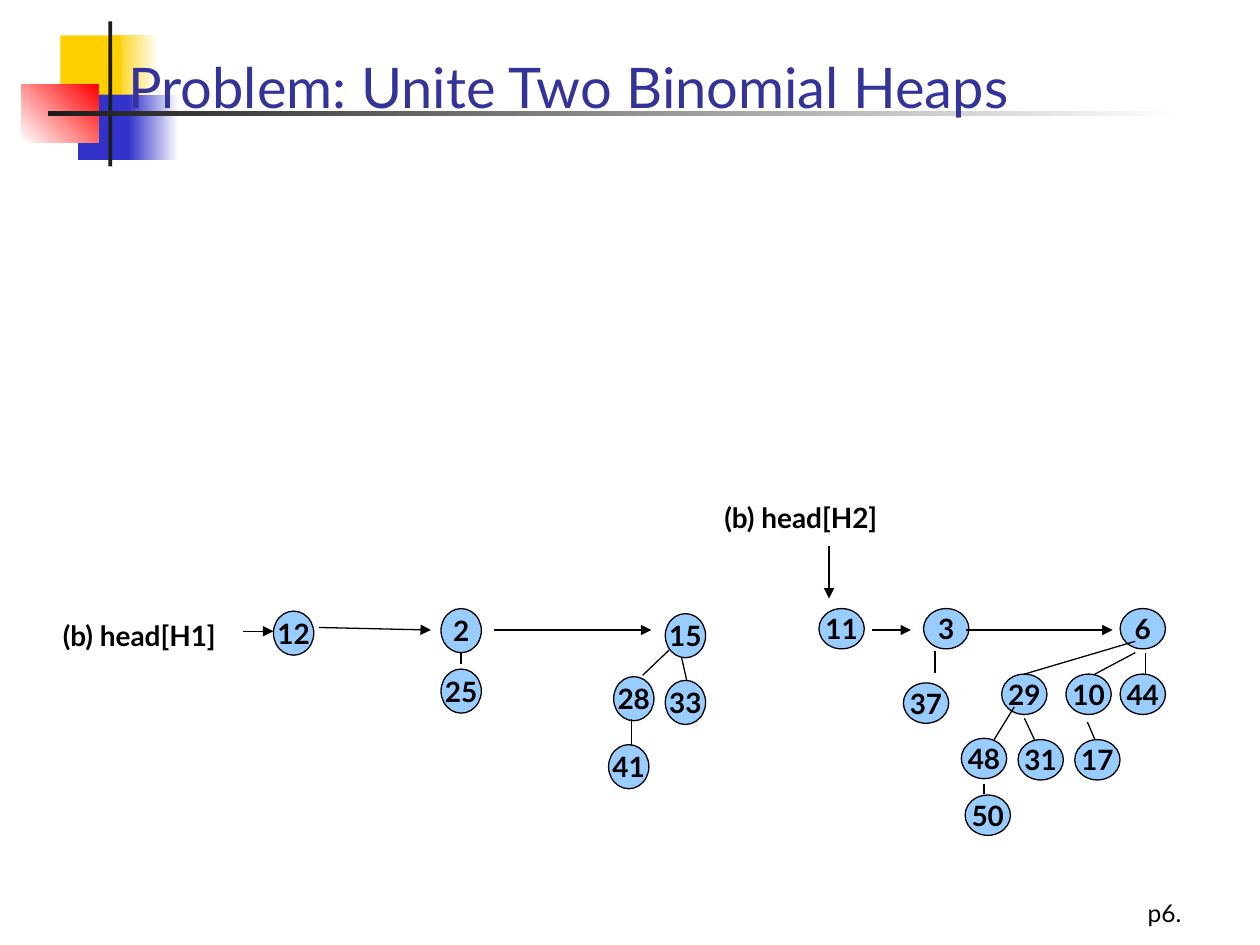
from pptx import Presentation
from pptx.dml.color import RGBColor
from pptx.enum.shapes import MSO_CONNECTOR, MSO_SHAPE
from pptx.enum.text import MSO_ANCHOR, PP_ALIGN
from pptx.oxml import parse_xml
from pptx.oxml.ns import nsdecls
from pptx.util import Inches, Pt

RECT, OVAL, LINE = MSO_SHAPE.RECTANGLE, MSO_SHAPE.OVAL, MSO_CONNECTOR.STRAIGHT
TOP, MIDDLE, BOTTOM = MSO_ANCHOR.TOP, MSO_ANCHOR.MIDDLE, MSO_ANCHOR.BOTTOM
LEFT, CENTER = PP_ALIGN.LEFT, PP_ALIGN.CENTER

BLACK = RGBColor(0x00, 0x00, 0x00)
WHITE = RGBColor(0xFF, 0xFF, 0xFF)
INK = RGBColor(0x1C, 0x1C, 0x1C)
GOLD = RGBColor(0xFF, 0xCF, 0x01)
BLUE = RGBColor(0x33, 0x33, 0xCC)
RED = RGBColor(0xFF, 0x00, 0x00)
NAVY = RGBColor(0x33, 0x33, 0x99)
SKY = RGBColor(0x99, 0xCC, 0xFF)

PLAIN = {"name": "Lato", "size": Pt(14), "bold": False}
BOLD = {"name": "Lato", "size": Pt(16), "bold": True}
TITLE = {"name": "Lato", "size": Pt(32), "bold": False}

BLOCKS = [
    (0.73, 0.11, 0.36, 0.52, (GOLD, WHITE), 0),
    (0.31, 0.11, 0.48, 0.52, (GOLD,), 0),
    (0.45, 0.58, 0.46, 0.52, (BLUE,), 0),
    (0.85, 0.58, 0.4, 0.52, (BLUE, WHITE), 0),
    (0, 0.5, 0.61, 0.46, (WHITE, RED), 45),
    (0.69, 0, 0.03, 1.15, (INK,), 0),
    (0.21, 0.71, 9, 0.04, (INK, WHITE), 0),
]

HEAP1 = {
    "label": ("(b) head[H1]", 0, 0.03),
    "size": (0.32, 0.35),
    "nodes": [
        ("12", 1.77, 0.02), ("2", 3.1, 0), ("15", 4.88, 0.04), ("25", 3.1, 0.48),
        ("28", 4.47, 0.54), ("33", 4.88, 0.57), ("41", 4.43, 1.08),
    ],
    "arrows": [(1.53, 0.18, 1.77, 0.18), (2.13, 0.15, 3.02, 0.17), (3.52, 0.17, 4.77, 0.17)],
    "edges": [
        (3.26, 0.35, 3.26, 0.44), (5.01, 0.39, 5.05, 0.57),
        (4.91, 0.33, 4.7, 0.53), (4.61, 0.88, 4.61, 1.08),
    ],
}

HEAP2 = {
    "label": ("(b) head[H2]", 0, 0),
    "size": (0.36, 0.32),
    "nodes": [
        ("11", 0.85, 0.91), ("3", 1.68, 0.91), ("6", 3.24, 0.91), ("37", 1.52, 1.5),
        ("29", 2.3, 1.43), ("10", 2.81, 1.43), ("44", 3.24, 1.43), ("48", 1.98, 1.94),
        ("31", 2.43, 1.95), ("17", 2.88, 1.95), ("50", 2.01, 2.39),
    ],
    "arrows": [(0.93, 0.41, 0.93, 0.83), (1.27, 1.08, 1.58, 1.08), (2.02, 1.08, 3.18, 1.08)],
    "edges": [
        (1.77, 1.25, 1.77, 1.42), (3.36, 1.17, 2.48, 1.43), (3.36, 1.26, 3.04, 1.43),
        (3.44, 1.26, 3.44, 1.43), (2.4, 1.69, 2.24, 1.95), (2.48, 1.78, 2.56, 1.95),
        (2.16, 2.3, 2.16, 2.38), (2.98, 1.81, 3.04, 1.95),
    ],
}


def write(shape, text, font, color, anchor=TOP, align=LEFT, wrap=True):
    """Put one formatted line of text in a shape."""
    frame = shape.text_frame
    frame.word_wrap = wrap
    frame.vertical_anchor = anchor
    para = frame.paragraphs[0]
    para.alignment = align
    run = para.add_run()
    run.text = text
    for key, value in font.items():
        setattr(run.font, key, value)
    run.font.color.rgb = color


def label(slide, box, text, font, color=BLACK, anchor=TOP):
    """Add a text box that fills the given box."""
    shape = slide.shapes.add_textbox(*map(Inches, box))
    write(shape, text, font, color, anchor)


def link(slide, ends, arrow):
    """Draw a thin black line, with an arrowhead if asked."""
    line = slide.shapes.add_connector(LINE, *map(Inches, ends))
    line.line.color.rgb = BLACK
    line.line.width = Pt(0.75)
    props = line._element.spPr
    if arrow:
        head = parse_xml(f'<a:tailEnd {nsdecls("a")} type="triangle"/>')
        props.get_or_add_ln().append(head)
    props.append(parse_xml(f'<a:effectLst {nsdecls("a")}/>'))


def node(slide, box, text):
    """Draw one numbered heap node."""
    shape = slide.shapes.add_shape(OVAL, *map(Inches, box))
    shape.shadow.inherit = False
    shape.fill.solid()
    shape.fill.fore_color.rgb = SKY
    shape.line.color.rgb = BLACK
    shape.line.width = Pt(0.75)
    write(shape, text, BOLD, BLACK, MIDDLE, CENTER, False)


def motif(slide, box):
    """Draw the coloured blocks and rules at the top."""
    left, top = box[:2]
    for x, y, wide, high, tones, angle in BLOCKS:
        place = map(Inches, (left + x, top + y, wide, high))
        shape = slide.shapes.add_shape(RECT, *place)
        shape.shadow.inherit = False
        shape.line.fill.background()
        if len(tones) == 1:
            shape.fill.solid()
            shape.fill.fore_color.rgb = tones[0]
            continue
        shape.fill.gradient()
        shape.fill.gradient_angle = angle
        for stop, tone in zip(shape.fill.gradient_stops, tones):
            stop.color.rgb = tone


def heap(slide, box, data):
    """Draw a binomial heap with its label, nodes and links."""
    left, top = box[:2]
    text, x, y = data["label"]
    label(slide, (left + x, top + y, 1.54, 0.37), text, BOLD)
    for text, x, y in data["nodes"]:
        node(slide, (left + x, top + y, *data["size"]), text)
    for kind in ("arrows", "edges"):
        for x1, y1, x2, y2 in data[kind]:
            ends = (left + x1, top + y1, left + x2, top + y2)
            link(slide, ends, kind == "arrows")


def main():
    """Build the slide and save it."""
    deck = Presentation()
    deck.slide_width, deck.slide_height = Inches(10), Inches(7.5)
    slide = deck.slides.add_slide(deck.slide_layouts[6])
    motif(slide, (0.17, 0.17, 9.21, 1.15))
    label(slide, (9.01, 7.08, 1.33, 0.37), "p6.", PLAIN)
    label(slide, (0.92, 0.17, 7.77, 0.83), "Problem: Unite Two Binomial Heaps", TITLE, NAVY, BOTTOM)
    heap(slide, (0.4, 4.83, 5.2, 1.43), HEAP1)
    heap(slide, (5.65, 3.92, 3.6, 2.71), HEAP2)
    deck.save("out.pptx")


if __name__ == "__main__":
    main()
